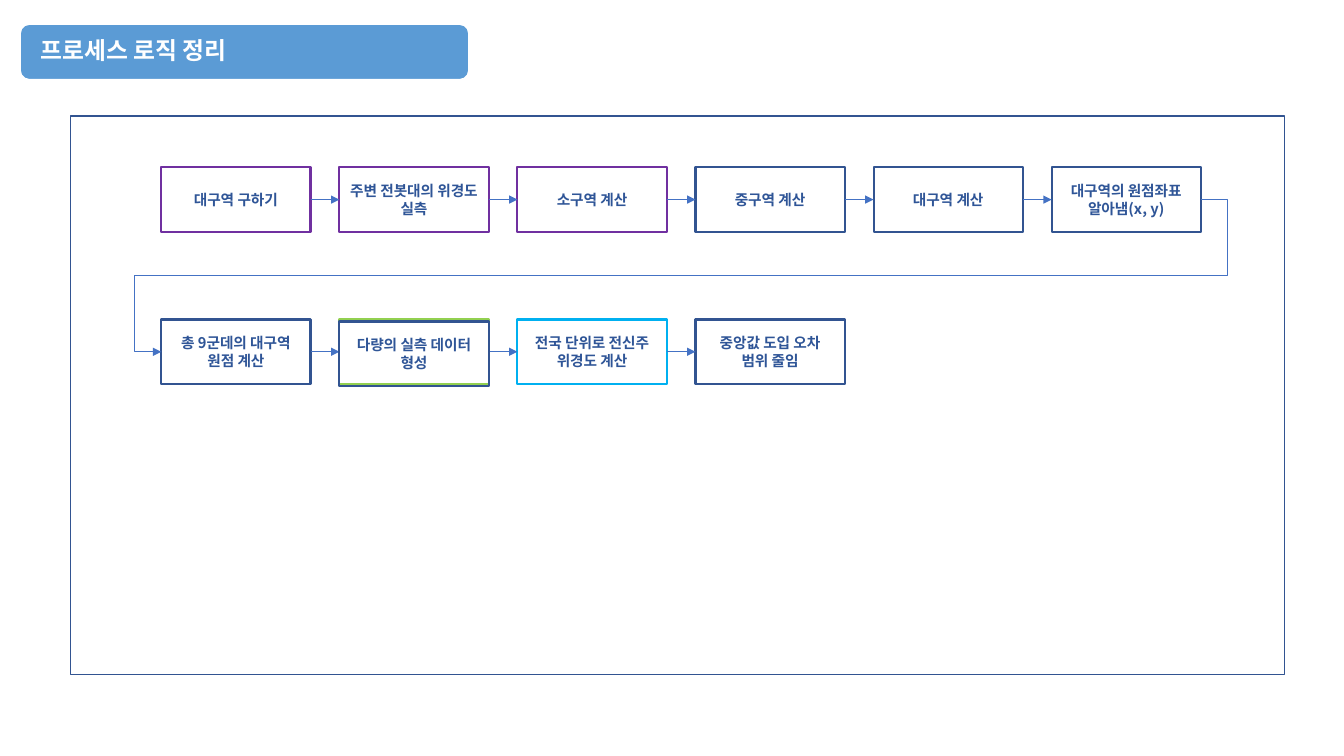
from dataclasses import dataclass
from itertools import pairwise

from lxml import etree
from pptx import Presentation
from pptx import util as u
from pptx.dml.color import RGBColor
from pptx.enum import shapes, text
from pptx.oxml import ns

COLORS = {
    "navy": "325491", "purple": "7030A0", "green": "92D050", "cyan": "00B0F0",
    "arrow": "4472C4", "label": "2F5597", "title": "5B9BD5", "white": "FFFFFF",
}
FONT = "Noto Sans CJK KR"
LABEL_FORMAT = {"name": FONT, "size": u.Pt(10.5), "bold": True}
TITLE_FORMAT = {"name": FONT, "size": u.Pt(17), "bold": True}

# Grid of process steps, in inches
LEFT, TOP = 1.6, 1.66
COLUMN_PITCH, ROW_PITCH = (10.43 - 1.6) / 5, 1.51
BOX_WIDTH, BOX_HEIGHT = 1.48, 0.64
RIGHT_SIDE, LEFT_SIDE = 3, 1


@dataclass(frozen=True)
class Step:
    column: int
    row: int
    label: str = ""
    color: str = "navy"
    drop: float = 0


STEPS = [
    Step(0, 0, "대구역 구하기", "purple"),
    Step(1, 0, "주변 전봇대의 위경도 실측", "purple"),
    Step(2, 0, "소구역 계산", "purple"),
    Step(3, 0, "중구역 계산"),
    Step(4, 0, "대구역 계산"),
    Step(5, 0, "대구역의 원점좌표 알아냄(x, y)"),
    Step(0, 1, "총 9군데의 대구역 원점 계산"),
    Step(1, 1, color="green"),
    Step(2, 1, "전국 단위로 전신주 위경도 계산", "cyan"),
    Step(3, 1, "중앙값 도입 오차 범위 줄임"),
]
DATA_STEP = Step(1, 1, "다량의 실측 데이터 형성", drop=0.02)


def rgb(color: str) -> RGBColor:
    return RGBColor.from_string(COLORS[color])


def write(shape, label: str, color: str, font_format: dict):
    frame = shape.text_frame
    frame.word_wrap = True
    frame.vertical_anchor = text.MSO_ANCHOR.MIDDLE
    paragraph = frame.paragraphs[0]
    run = paragraph.add_run()
    run.text = label
    for name, value in font_format.items():
        setattr(run.font, name, value)
    run.font.color.rgb = rgb(color)
    properties = run.font._element
    etree.SubElement(properties, ns.qn("a:ea"), typeface=FONT)
    return paragraph


def add_box(slide, kind, bounds: tuple, line: str, width: float, fill: str = ""):
    shape = slide.shapes.add_shape(kind, *map(u.Inches, bounds))
    shape.shadow.inherit = False
    if fill:
        shape.fill.solid()
        shape.fill.fore_color.rgb = rgb(fill)
    else:
        shape.fill.background()
    shape.line.color.rgb = rgb(line)
    shape.line.width = u.Pt(width)
    return shape


def add_step(slide, step: Step):
    bounds = (LEFT + step.column * COLUMN_PITCH,
              TOP + step.row * ROW_PITCH + step.drop, BOX_WIDTH, BOX_HEIGHT)
    shape = add_box(slide, shapes.MSO_SHAPE.RECTANGLE, bounds, step.color, 1.5)
    if step.label:
        paragraph = write(shape, step.label, "label", LABEL_FORMAT)
        paragraph.alignment = text.PP_ALIGN.CENTER
    return shape


def add_arrow(slide, start, end, wraps: bool):
    kind = shapes.MSO_CONNECTOR.ELBOW if wraps else shapes.MSO_CONNECTOR.STRAIGHT
    arrow = slide.shapes.add_connector(kind, 0, 0, 0, 0)
    arrow.begin_connect(start, RIGHT_SIDE)
    arrow.end_connect(end, LEFT_SIDE)
    arrow.line.color.rgb = rgb("arrow")
    arrow.line.width = u.Pt(0.5)
    properties = arrow._element.spPr
    etree.SubElement(arrow.line._get_or_add_ln(), ns.qn("a:tailEnd"), type="triangle")
    etree.SubElement(properties, ns.qn("a:effectLst"))
    if wraps:
        # Out to the right, back between the rows, in from the left
        geometry = properties.find(ns.qn("a:prstGeom"))
        geometry.set("prst", "bentConnector5")
        guides = geometry.find(ns.qn("a:avLst"))
        if guides is None:
            guides = etree.SubElement(geometry, ns.qn("a:avLst"))
        for number, value in enumerate((-2600, 50000, 102600), 1):
            etree.SubElement(guides, ns.qn("a:gd"), name=f"adj{number}", fmla=f"val {value}")


def main() -> None:
    presentation = Presentation()
    presentation.slide_width = u.Inches(13.33)
    presentation.slide_height = u.Inches(7.5)
    slide = presentation.slides.add_slide(presentation.slide_layouts[6])

    # Process steps and the arrows between them
    boxes = [add_step(slide, step) for step in STEPS]
    for (step, box), (following, target) in pairwise(zip(STEPS, boxes)):
        add_arrow(slide, box, target, step.row != following.row)

    # Frame around the process
    add_box(slide, shapes.MSO_SHAPE.RECTANGLE, (0.7, 1.15, 12.04, 5.54), "navy", 1)

    # Title banner
    add_box(slide, shapes.MSO_SHAPE.ROUNDED_RECTANGLE, (0.2, 0.24, 4.45, 0.55),
            "white", 1, "title")
    title = slide.shapes.add_textbox(*map(u.Inches, (0.23, 0.26, 4.4, 0.5)))
    margins = {"margin_left": 0.17, "margin_right": 0.17, "margin_top": 0, "margin_bottom": 0}
    for name, value in margins.items():
        setattr(title.text_frame, name, u.Inches(value))
    write(title, "프로세스 로직 정리", "white", TITLE_FORMAT).line_spacing = 0.9

    # Data step lies over the green box
    add_step(slide, DATA_STEP)
    presentation.save("out.pptx")


if __name__ == "__main__":
    main()
